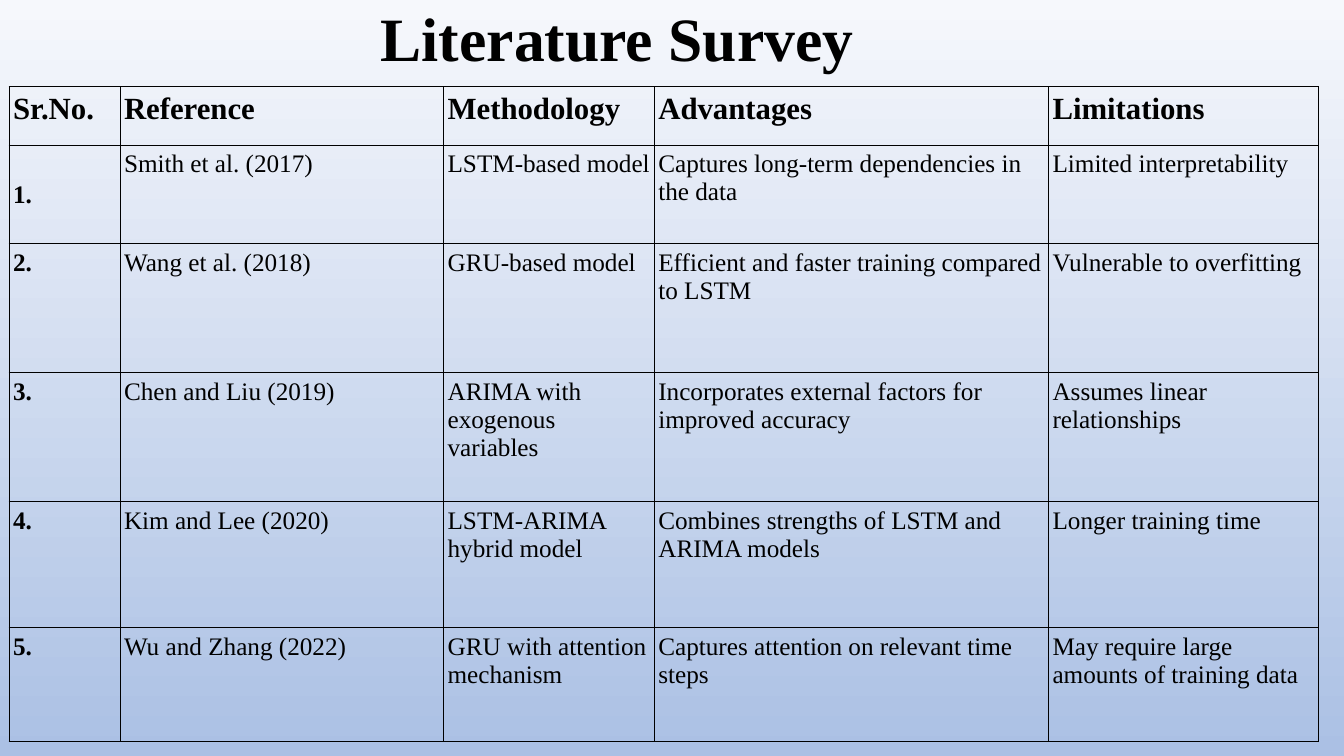
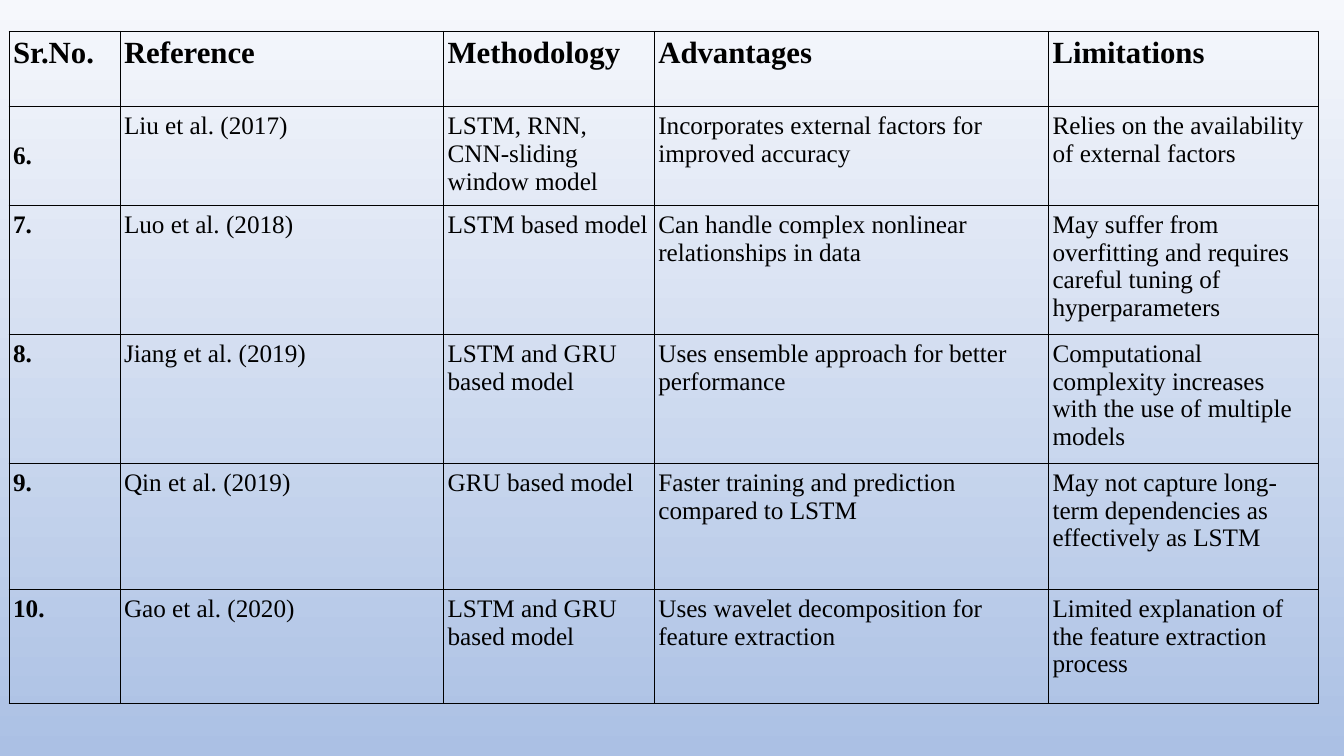
import pptx
import pptx.util
import pptx.dml.color
import pptx.enum.text
import pptx.oxml
import pptx.oxml.ns

Inches = pptx.util.Inches
Pt = pptx.util.Pt

COLORS = {"text": "000000", "border": "000000", "sky": "F6F8FC", "ground": "ABC0E4"}
FONT = "Times New Roman"
TITLE_SIZE, HEADER_SIZE, BODY_SIZE = 44, 22, 18
BORDER_WIDTH = Pt(0.75)

TABLE_LEFT = 0.09
COLUMN_WIDTHS = [1.1, 3.21, 2.09, 3.91, 2.68]
STUDY_HEIGHTS = [0.98, 1.28, 1.28, 1.25, 1.13]
HEADINGS = ["Sr.No.", "Reference", "Methodology", "Advantages", "Limitations"]

EARLIER_STUDIES = [
    ("Smith et al. (2017)", "LSTM-based model",
     "Captures long-term dependencies in the data", "Limited interpretability"),
    ("Wang et al. (2018)", "GRU-based model",
     "Efficient and faster training compared to LSTM", "Vulnerable to overfitting"),
    ("Chen and Liu (2019)", "ARIMA with exogenous variables",
     "Incorporates external factors for improved accuracy", "Assumes linear relationships"),
    ("Kim and Lee (2020)", "LSTM-ARIMA hybrid model",
     "Combines strengths of LSTM and ARIMA models", "Longer training time"),
    ("Wu and Zhang (2022)", "GRU with attention mechanism",
     "Captures attention on relevant time steps",
     "May require large amounts of training data"),
]
FURTHER_STUDIES = [
    ("Liu et al. (2017)", "LSTM, RNN, CNN-sliding window model",
     "Incorporates external factors for improved accuracy",
     "Relies on the availability of external factors"),
    ("Luo et al. (2018)", "LSTM based model",
     "Can handle complex nonlinear relationships in data",
     "May suffer from overfitting and requires careful tuning of hyperparameters"),
    ("Jiang et al. (2019)", "LSTM and GRU based model",
     "Uses ensemble approach for better performance",
     "Computational complexity increases with the use of multiple models"),
    ("Qin et al. (2019)", "GRU based model",
     "Faster training and prediction compared to LSTM",
     "May not capture long-term dependencies as effectively as LSTM"),
    ("Gao et al. (2020)", "LSTM and GRU based model",
     "Uses wavelet decomposition for feature extraction",
     "Limited explanation of the feature extraction process"),
]


def rgb(name):
    return pptx.dml.color.RGBColor.from_string(COLORS[name])


def set_background(master):
    fill = master.background.fill
    fill.gradient()
    fill.gradient_angle = 270
    for stop, name in zip(fill.gradient_stops, ("sky", "ground")):
        stop.color.rgb = rgb(name)


def write_text(text_frame, text, size, bold):
    text_frame.text = text
    font = text_frame.paragraphs[0].runs[0].font
    font.name = FONT
    font.size = Pt(size)
    font.bold = bold
    font.color.rgb = rgb("text")


def add_title(slide, text):
    title = slide.shapes.title
    title.left, title.top = Inches(0.81), Inches(-0.14)
    title.width, title.height = Inches(10.63), Inches(1.01)
    frame = title.text_frame
    frame.margin_left = frame.margin_right = frame.margin_top = frame.margin_bottom = 0
    frame.auto_size = pptx.enum.text.MSO_AUTO_SIZE.NONE
    frame.vertical_anchor = pptx.enum.text.MSO_ANCHOR.MIDDLE
    write_text(frame, text, TITLE_SIZE, True)
    frame.paragraphs[0].alignment = pptx.enum.text.PP_ALIGN.CENTER


def add_borders(cell):
    """Outline all four sides; the line elements must come before the fill."""
    properties = cell._tc.get_or_add_tcPr()
    for position, side in enumerate(("lnL", "lnR", "lnT", "lnB")):
        properties.insert(position, pptx.oxml.parse_xml(
            f'<a:{side} {pptx.oxml.ns.nsdecls("a")} w="{int(BORDER_WIDTH)}">'
            f'<a:solidFill><a:srgbClr val="{COLORS["border"]}"/></a:solidFill>'
            f'</a:{side}>'))


def fill_cell(cell, text, size, bold):
    cell.margin_left = cell.margin_right = Inches(0.04)
    cell.margin_top = cell.margin_bottom = Inches(0.05)
    cell.vertical_anchor = pptx.enum.text.MSO_ANCHOR.TOP
    cell.fill.background()
    add_borders(cell)
    write_text(cell.text_frame, text, size, bold)


def add_survey_table(slide, top, header_height, first_number, studies):
    heights = [header_height] + STUDY_HEIGHTS
    rows = [HEADINGS] + [(f"{number}.", *study)
                         for number, study in enumerate(studies, first_number)]
    survey = slide.shapes.add_table(
        len(rows), len(HEADINGS), Inches(TABLE_LEFT), Inches(top),
        Inches(sum(COLUMN_WIDTHS)), Inches(sum(heights))).table
    survey.horz_banding = False
    survey.first_row = False
    for column, width in zip(survey.columns, COLUMN_WIDTHS):
        column.width = Inches(width)
    for r, (height, texts) in enumerate(zip(heights, rows)):
        survey.rows[r].height = Inches(height)
        size = BODY_SIZE if r else HEADER_SIZE
        for c, text in enumerate(texts):
            fill_cell(survey.cell(r, c), text, size, bold=r == 0 or c == 0)
    survey.cell(1, 0).vertical_anchor = pptx.enum.text.MSO_ANCHOR.MIDDLE


def main():
    deck = pptx.Presentation()
    deck.slide_width, deck.slide_height = Inches(13.33), Inches(7.5)
    set_background(deck.slide_master)
    title_only, blank = deck.slide_layouts[5], deck.slide_layouts[6]

    opening = deck.slides.add_slide(title_only)
    add_title(opening, "Literature Survey")
    add_survey_table(opening, 0.86, 0.58, 1, EARLIER_STUDIES)

    continuation = deck.slides.add_slide(blank)
    add_survey_table(continuation, 0.31, 0.75, 6, FURTHER_STUDIES)

    deck.save("out.pptx")


if __name__ == "__main__":
    main()
